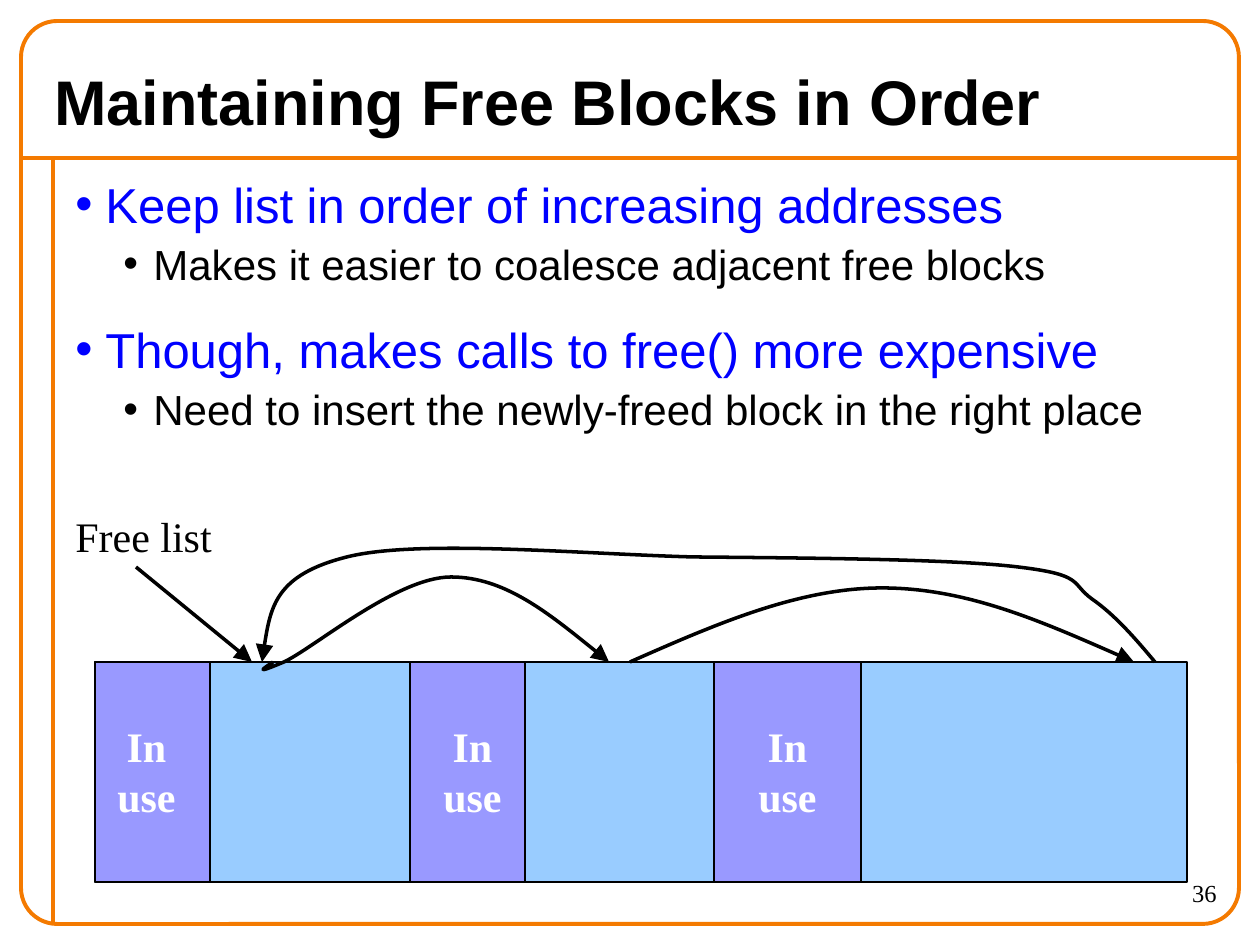
from lxml.etree import SubElement
from pptx import Presentation
from pptx.dml.color import RGBColor
from pptx.enum.shapes import MSO_CONNECTOR, MSO_SHAPE
from pptx.enum.text import MSO_ANCHOR, MSO_AUTO_SIZE, PP_ALIGN
from pptx.oxml.ns import qn
from pptx.util import Pt

SCALE = 914400 / 126
ORANGE, BLACK, WHITE, BLUE = "F47A00", "000000", "FFFFFF", "0000FF"
SKY, VIOLET = "99CCFF", "9999FF"
SANS, SERIF = "Arial", "Times New Roman"


def px(*nums):
    return [round(n * SCALE) for n in nums]


def write(frame, lines, hue, align=PP_ALIGN.LEFT, **form):
    for i, line in enumerate(lines):
        para = frame.paragraphs[0] if i == 0 else frame.add_paragraph()
        para.alignment = align
        run = para.add_run()
        run.text = line
        run.font.color.rgb = RGBColor.from_string(hue)
        for key, val in form.items():
            setattr(run.font, key, val)


deck = Presentation()
deck.slide_width, deck.slide_height = px(1260, 945)
slide = deck.slides.add_slide(deck.slide_layouts[6])
shapes = slide.shapes
drawn = []

for ends in [(21, 158, 1239, 158), (53, 158, 53, 924)]:
    rule = shapes.add_connector(MSO_CONNECTOR.STRAIGHT, *px(*ends))
    drawn.append((rule, ORANGE, 2.25, False))

border = shapes.add_shape(MSO_SHAPE.ROUNDED_RECTANGLE, *px(21, 21, 1218, 903))
border.adjustments[0] = 0.04
border.fill.background()
drawn.append((border, ORANGE, 2.25, False))

page = shapes.add_textbox(*px(1103, 872, 126, 53)).text_frame
page.word_wrap = True
write(page, ["36"], BLACK, PP_ALIGN.RIGHT, size=Pt(14), name=SERIF)

title = shapes.add_textbox(*px(42, 53, 1176, 94)).text_frame
title.word_wrap = True
title.vertical_anchor = MSO_ANCHOR.MIDDLE
write(title, ["Maintaining Free Blocks in Order"], BLACK, size=Pt(36), name=SANS, bold=True)

body = shapes.add_textbox(*px(63, 168, 1166, 756)).text_frame
body.word_wrap = True
points = [
    (0, "Keep list in order of increasing addresses"),
    (1, "Makes it easier to coalesce adjacent free blocks"),
    (0, "Though, makes calls to free() more expensive"),
    (1, "Need to insert the newly-freed block in the right place"),
]
levels = [(30, 28, 17.5, BLUE), (78, 24, 3, BLACK)]
for i, (level, words) in enumerate(points):
    left, size, gap, hue = levels[level]
    para = body.add_paragraph() if i else body.paragraphs[0]
    para.level = level
    if i:
        para.space_before = Pt(gap)
    props = para._p.get_or_add_pPr()
    for key, val in zip(("marL", "indent"), px(left, -30)):
        props.set(key, str(val))
    tint = SubElement(props, qn("a:buClr"))
    SubElement(tint, qn("a:srgbClr")).set("val", hue)
    SubElement(props, qn("a:buFont")).set("typeface", SANS)
    SubElement(props, qn("a:buChar")).set("char", "•")
    run = para.add_run()
    run.text = words
    run.font.color.rgb = RGBColor.from_string(hue)
    for key, val in {"size": Pt(size), "name": SANS}.items():
        setattr(run.font, key, val)

blocks = [(95, 1092, SKY), (95, 115, VIOLET), (410, 115, VIOLET), (525, 189, SKY), (714, 147, VIOLET)]
for left, width, hue in blocks:
    block = shapes.add_shape(MSO_SHAPE.RECTANGLE, *px(left, 662, width, 220))
    block.fill.solid()
    block.fill.fore_color.rgb = RGBColor.from_string(hue)
    drawn.append((block, BLACK, 0.75, False))

use = ["In", "use"]
labels = [((left, 714, 91, 113), use, WHITE, PP_ALIGN.CENTER, True) for left in (101, 427, 742)]
labels.append(((63, 504, 170, 63), ["Free list"], BLACK, PP_ALIGN.LEFT, False))
for place, lines, hue, align, bold in labels:
    label = shapes.add_textbox(*px(*place)).text_frame
    label.word_wrap = False
    label.auto_size = MSO_AUTO_SIZE.SHAPE_TO_FIT_TEXT
    write(label, lines, hue, align, size=Pt(24), name=SERIF, bold=bold)

arrow = shapes.add_connector(MSO_CONNECTOR.STRAIGHT, *px(136, 567, 252, 662))
drawn.append((arrow, BLACK, 2, True))

curves = [
    [(273, 662), (263, 669), (253, 675), (284, 662), (314, 648), (397, 577), (451, 577),
     (505, 577), (557, 620), (609, 662)],
    [(630, 662), (714, 625), (798, 588), (882, 588), (966, 588), (1050, 625), (1134, 662)],
    [(1155, 662), (1135, 638), (1115, 615), (1092, 599), (1070, 583), (1085, 575), (1018, 567),
     (953, 559), (805, 558), (693, 557), (581, 554), (418, 539), (347, 557), (275, 575),
     (268, 617), (262, 662)],
]
for knots in curves:
    pen = shapes.build_freeform(*knots[0], scale=SCALE)
    pen.add_line_segments(knots[1:], close=False)
    curve = pen.convert_to_shape()
    curve.fill.background()
    track = curve._element.find(".//" + qn("a:path"))
    steps = track.findall(qn("a:lnTo"))
    for i in range(0, len(steps), 3):
        bend = SubElement(track, qn("a:cubicBezTo"))
        for step in steps[i:i + 3]:
            bend.append(step[0])
            track.remove(step)
    drawn.append((curve, BLACK, 2, True))

for shape, hue, width, tip in drawn:
    shape.line.color.rgb = RGBColor.from_string(hue)
    shape.line.width = Pt(width)
    if tip:
        end = SubElement(shape.line._get_or_add_ln(), qn("a:tailEnd"))
        for key, val in {"type": "triangle", "w": "lg", "len": "lg"}.items():
            end.set(key, val)
    SubElement(shape._element.spPr, qn("a:effectLst"))

deck.save("out.pptx")
